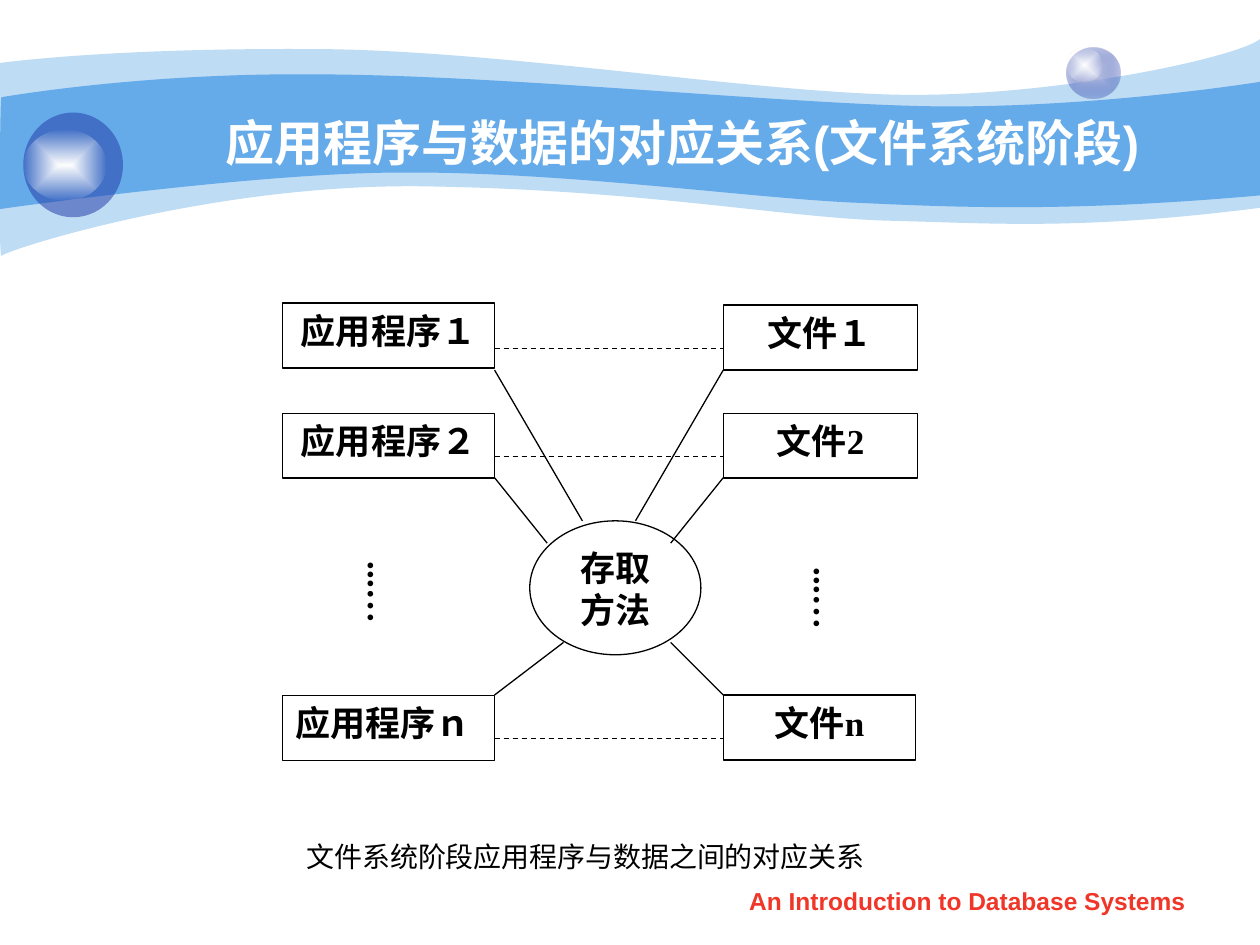
from pptx import Presentation
from pptx.dml.color import RGBColor
from pptx.enum.dml import MSO_LINE
from pptx.enum.shapes import MSO_CONNECTOR, MSO_SHAPE
from pptx.enum.text import MSO_ANCHOR, PP_ALIGN
from pptx.oxml import parse_xml
from pptx.oxml.ns import nsdecls
from pptx.oxml.xmlchemy import OxmlElement
from pptx.util import Cm, Pt


def color(value):
    return RGBColor.from_string(value)


def write(shape, text, size, name="Times New Roman", bold=True, ink="000000",
          align=PP_ALIGN.CENTER, anchor=MSO_ANCHOR.TOP, wrap=True, margins=(0.25, 0.13)):
    side, edge = margins
    frame = shape.text_frame
    layout = {"word_wrap": wrap, "vertical_anchor": anchor,
              "margin_left": Cm(side), "margin_right": Cm(side),
              "margin_top": Cm(edge), "margin_bottom": Cm(edge)}
    for key, value in layout.items():
        setattr(frame, key, value)
    para = frame.paragraphs[0]
    para.alignment = align
    span = para.add_run()
    span.text = text
    for key, value in {"size": Pt(size), "name": name, "bold": bold}.items():
        setattr(span.font, key, value)
    span.font.color.rgb = color(ink)


deck = Presentation()
deck.slide_width, deck.slide_height = Cm(25.4), Cm(19.05)
page = deck.slides.add_slide(deck.slide_layouts[6])
shapes = page.shapes

waves = [
    (41, [
        [(0, 1.27)],
        [(0.61, 1.19), (2.72, 0.97), (6.27, 0.99)],
        [(9.8, 0.99), (14.6, 1.78), (17.75, 1.9)],
        [(20.88, 2.03), (24.89, 1.19), (25.4, 0.79)],
        [(25.4, 4.19)],
        [(21.79, 4.65), (19.99, 4.5), (17.91, 4.45)],
        [(15.8, 4.39), (13.08, 3.84), (8.71, 3.76)],
        [(4.37, 3.66), (0.1, 5.05), (0.03, 5.16)],
        [(-0.03, 5.28), (0, 1.9), (0, 1.27)]]),
    (100, [
        [(0.03, 1.96)],
        [(0.05, 1.96), (2.79, 1.47), (6.3, 1.5)],
        [(9.8, 1.5), (15.11, 2.03), (18.24, 2.13)],
        [(21.36, 2.24), (24.79, 1.75), (25.4, 1.65)],
        [(25.4, 3.94)],
        [(21.67, 4.27), (19.43, 4.19), (17.32, 4.09)],
        [(15.21, 4.01), (11.35, 3.45), (8.05, 3.48)],
        [(5.16, 3.48), (-0.05, 4.22), (-0.03, 4.22)],
        [(0, 4.22), (0, 1.96), (0.03, 1.96)]]),
]
for opacity, segments in waves:
    xs, ys = zip(*[point for segment in segments for point in segment])
    left, top, right, bottom = [Cm(edge) for edge in (min(xs), min(ys), max(xs), max(ys))]
    builder = shapes.build_freeform(left, top)
    builder.add_line_segments([(right, top), (right, bottom), (left, bottom)])
    wave = builder.convert_to_shape()
    outline = wave._element.spPr.find(".//{*}path")
    for child in list(outline):
        outline.remove(child)
    for index, segment in enumerate(segments):
        tag = "a:cubicBezTo" if len(segment) == 3 else "a:lnTo"
        move = OxmlElement(tag if index else "a:moveTo")
        for x, y in segment:
            point = OxmlElement("a:pt")
            point.set("x", str(Cm(x) - left))
            point.set("y", str(Cm(y) - top))
            move.append(point)
        outline.append(move)
    outline.append(OxmlElement("a:close"))
    wave.shadow.inherit = False
    wave.line.fill.background()
    wave.fill.solid()
    wave.fill.fore_color.rgb = color("65AAE9")
    if opacity < 100:
        alpha = OxmlElement("a:alpha")
        alpha.set("val", str(opacity * 1000))
        wave._element.spPr.find(".//{*}srgbClr").append(alpha)

balls = [
    (21.51, 0.97, 1.07, 1.02, ("C6CCE8", 100), ("233DA9", 31)),
    (21.51, 0.97, 0.71, 0.69, ("FFFFFF", 100), ("FEFEFE", 0)),
    (0.47, 2.27, 2.01, 2.11, ("233DA9", 53), None),
    (0.47, 2.62, 1.68, 1.42, ("FFFFFF", 100), ("FEFEFE", 0)),
]
for left, top, width, height, inner, outer in balls:
    ball = shapes.add_shape(MSO_SHAPE.OVAL, Cm(left), Cm(top), Cm(width), Cm(height))
    ball.shadow.inherit = False
    ball.line.fill.background()
    if outer is None:
        ball.fill.solid()
        ball.fill.fore_color.rgb = color(inner[0])
        alpha = OxmlElement("a:alpha")
        alpha.set("val", str(inner[1] * 1000))
        ball._element.spPr.find(".//{*}srgbClr").append(alpha)
    else:
        stops = "".join(
            f'<a:gs pos="{place}"><a:srgbClr val="{shade}">'
            f'<a:alpha val="{opacity * 1000}"/></a:srgbClr></a:gs>'
            for place, (shade, opacity) in ((0, inner), (100000, outer)))
        ball._element.spPr.insert(2, parse_xml(
            f'<a:gradFill {nsdecls("a")}><a:gsLst>{stops}</a:gsLst><a:path path="rect">'
            '<a:fillToRect l="50000" t="50000" r="50000" b="50000"/></a:path></a:gradFill>'))

title = shapes.add_textbox(Cm(2.75), Cm(1.27), Cm(22.02), Cm(3.18))
write(title, "应用程序与数据的对应关系(文件系统阶段)", 28, "Arial", ink="FFFFFF",
      anchor=MSO_ANCHOR.MIDDLE)

program_right, file_left = 9.97, 14.58
rows = [(6.11, 6.15, 3.92, 7.03, "应用程序１", "文件１"),
        (8.33, 8.33, 3.92, 9.2, "应用程序２", "文件2"),
        (14.02, 14.01, 3.88, 14.89, "应用程序ｎ", "文件n")]
nodes = []
links = []
for program_top, file_top, file_width, level, program, file in rows:
    align = PP_ALIGN.JUSTIFY if program.endswith("ｎ") else PP_ALIGN.CENTER
    nodes += [(MSO_SHAPE.RECTANGLE, 5.7, program_top, 4.27, 1.31, program, align),
              (MSO_SHAPE.RECTANGLE, file_left, file_top, file_width, 1.31, file,
               PP_ALIGN.CENTER)]
    links.append((program_right, level, file_left, level, MSO_LINE.DASH))
nodes.append((MSO_SHAPE.OVAL, 10.68, 10.5, 3.45, 2.7, "存取方法", PP_ALIGN.CENTER))
for corner, left_end, right_end, end in [(7.46, 11.74, 12.81, 10.5), (9.63, 11.03, 13.52, 10.95),
                                         (14.01, 11.36, 13.52, 12.95)]:
    links += [(program_right, corner, left_end, end, MSO_LINE.SOLID),
              (file_left, corner, right_end, end, MSO_LINE.SOLID)]

for kind, left, top, width, height, text, align in nodes:
    node = shapes.add_shape(kind, Cm(left), Cm(top), Cm(width), Cm(height))
    node.shadow.inherit = False
    node.fill.solid()
    node.fill.fore_color.rgb = color("FFFFFF")
    node.line.color.rgb = color("000000")
    node.line.width = Pt(0.75)
    write(node, text, 20, align=align)

for x1, y1, x2, y2, dash in links:
    link = shapes.add_connector(MSO_CONNECTOR.STRAIGHT, Cm(x1), Cm(y1), Cm(x2), Cm(y2))
    link.line.color.rgb = color("000000")
    link.line.width = Pt(0.75)
    link.line.dash_style = dash
    link._element.spPr.append(OxmlElement("a:effectLst"))

for left, top, height in [(6.91, 11.08, 2.31), (15.9, 11.2, 2.51)]:
    dots = shapes.add_textbox(Cm(left), Cm(top), Cm(1.35), Cm(height))
    write(dots, "...…", 20, align=PP_ALIGN.LEFT, margins=(0.13, 0.25))
    dots.text_frame._txBody.bodyPr.set("vert", "eaVert")

caption = shapes.add_textbox(Cm(4.89), Cm(16.8), Cm(13.84), Cm(1.02))
write(caption, "文件系统阶段应用程序与数据之间的对应关系", 16, bold=False, wrap=False)
footer = shapes.add_textbox(Cm(14.5), Cm(17.73), Cm(10.01), Cm(0.89))
write(footer, "An Introduction to Database Systems", 14, "Arial", ink="F03628")

deck.save("out.pptx")
